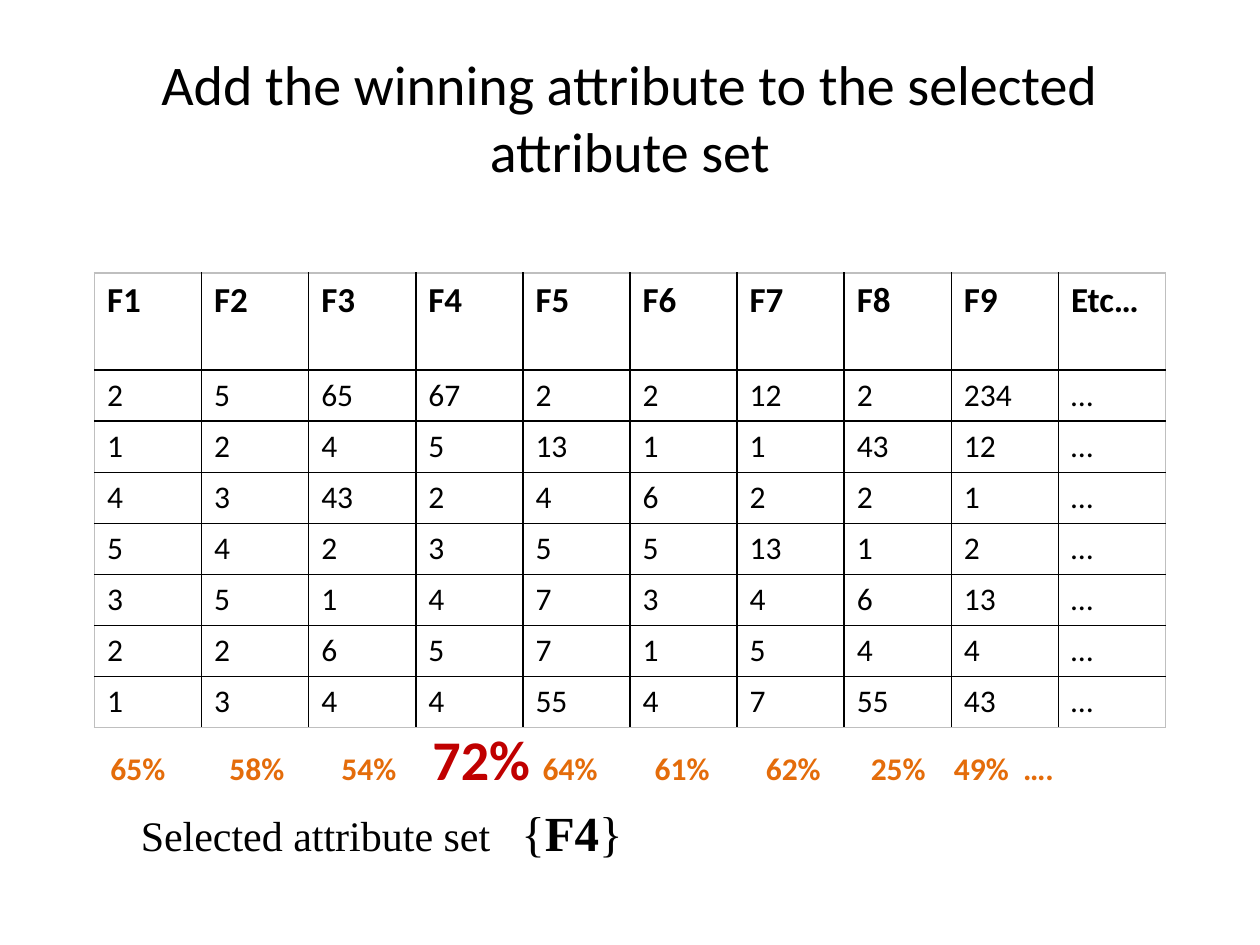
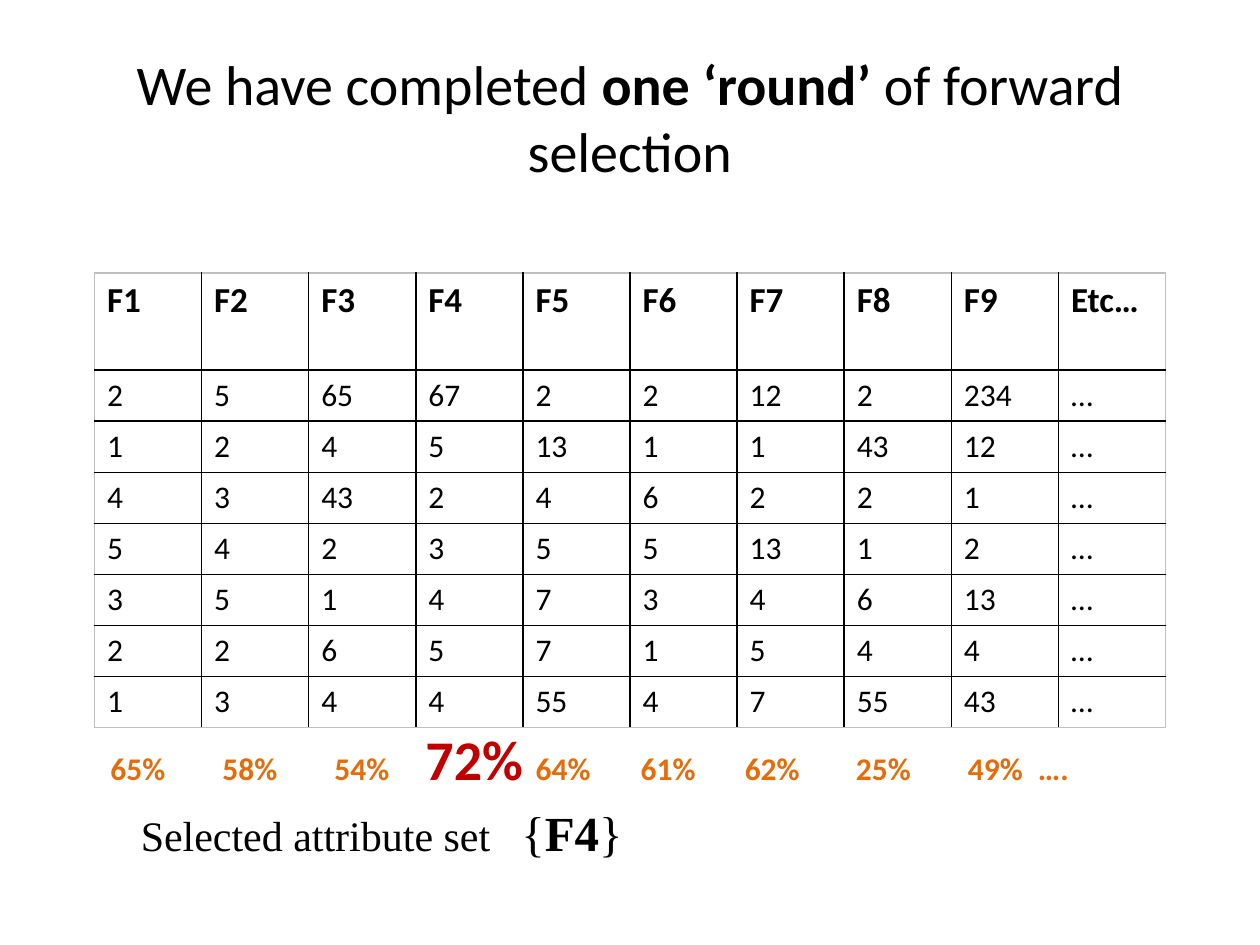
import pptx
import pptx.dml.color
import pptx.enum.text
import pptx.util
from lxml import etree
from pptx.oxml.ns import qn

Pt = pptx.util.Pt
RGBColor = pptx.dml.color.RGBColor
BLACK = RGBColor(0x00, 0x00, 0x00)
GREY = RGBColor(0xBF, 0xBF, 0xBF)
ORANGE = RGBColor(0xE4, 0x6C, 0x0A)
RED = RGBColor(0xC0, 0x00, 0x00)
BODY, SERIF = "Calibri", "Times New Roman"

COL_W, HEAD_H, ROW_H = 61.2, 55.5, 29.2
ROWS = [
    "F1 F2 F3 F4 F5 F6 F7 F8 F9 Etc…".split(),
    "2 5 65 67 2 2 12 2 234 …".split(),
    "1 2 4 5 13 1 1 43 12 …".split(),
    "4 3 43 2 4 6 2 2 1 …".split(),
    "5 4 2 3 5 5 13 1 2 …".split(),
    "3 5 1 4 7 3 4 6 13 …".split(),
    "2 2 6 5 7 1 5 4 4 …".split(),
    "1 3 4 4 55 4 7 55 43 …".split(),
]
SCORES = "65% 58% 54% 72% 64% 61% 62% 25% 49% ….".split()
WINNER = 3

# Each slide: title runs as (text, bold), and tab stops of the scores
SLIDES = [
    ([("Add the winning attribute to the selected attribute set", False)],
     [68, 132, 184, 247, 311, 374.5, 434.5, 482, 521.5]),
    ([("We have completed ", False), ("one ‘round’ ", True),
      ("of forward selection", False)],
     [64, 128, 180, 243, 303, 362.5, 426, 490, 530]),
]


def add_text(s, box, runs, font, tabs=()):
    """Add a one-paragraph text box; runs are (text, size, bold, colour)."""
    tf = s.shapes.add_textbox(*map(Pt, box)).text_frame
    tf.word_wrap = True
    p = tf.paragraphs[0]
    for text, size, bold, color in runs:
        r = p.add_run()
        r.text = text
        r.font.name, r.font.size, r.font.bold = font, Pt(size), bold
        r.font.color.rgb = color
    if tabs:
        tab_list = etree.SubElement(p._p.get_or_add_pPr(), qn("a:tabLst"))
        for pos in tabs:
            etree.SubElement(tab_list, qn("a:tab"), pos=str(Pt(pos)), algn="l")
    return tf


def set_borders(cell, colors):
    """Draw 1 pt cell borders; colors are for left, right, top, bottom."""
    tcPr = cell._tc.get_or_add_tcPr()
    for i, (side, color) in enumerate(zip("LRTB", colors)):
        ln = etree.Element(qn(f"a:ln{side}"), w=str(Pt(1)))
        fill = etree.SubElement(ln, qn("a:solidFill"))
        etree.SubElement(fill, qn("a:srgbClr"), val=str(color))
        tcPr.insert(i, ln)


prs = pptx.Presentation()
prs.slide_width, prs.slide_height = Pt(720), Pt(540)

for title, score_tabs in SLIDES:
    s = prs.slides.add_slide(prs.slide_layouts[6])

    tf = add_text(s, (36, 21.6, 648, 90),
                  [(text, 32, bold, BLACK) for text, bold in title], BODY)
    tf.vertical_anchor = pptx.enum.text.MSO_ANCHOR.MIDDLE
    tf.paragraphs[0].alignment = pptx.enum.text.PP_ALIGN.CENTER

    n_rows, n_cols = len(ROWS), len(ROWS[0])
    table = s.shapes.add_table(
        n_rows, n_cols, Pt(54), Pt(156), Pt(COL_W * n_cols),
        Pt(HEAD_H + ROW_H * (n_rows - 1))).table
    table.first_row = table.horz_banding = False
    for col in table.columns:
        col.width = Pt(COL_W)
    for i, values in enumerate(ROWS):
        table.rows[i].height = Pt(ROW_H if i else HEAD_H)
        for j, value in enumerate(values):
            cell = table.cell(i, j)
            cell.text_frame.text = value
            font = cell.text_frame.paragraphs[0].runs[0].font
            font.name, font.size, font.bold = BODY, Pt(18 if i else 20), i == 0
            font.color.rgb = BLACK
            cell.fill.background()
            outer = (j == 0, j == n_cols - 1, i == 0, i == n_rows - 1)
            set_borders(cell, [GREY if edge else BLACK for edge in outer])

    add_text(s, (73.4, 455, 293, 41),
             [("Selected attribute set\t", 24, False, BLACK),
              ("{", 28, False, BLACK), ("F4", 28, True, BLACK),
              ("}", 28, False, BLACK)], SERIF, [217.5])

    add_text(s, (56, 410.4, 639.4, 46),
             [("\t".join(SCORES[:WINNER]) + "\t", 18, True, ORANGE),
              (SCORES[WINNER], 32, True, RED),
              ("\t" + "\t".join(SCORES[WINNER + 1:]), 18, True, ORANGE)],
             BODY, score_tabs)

prs.save("out.pptx")
